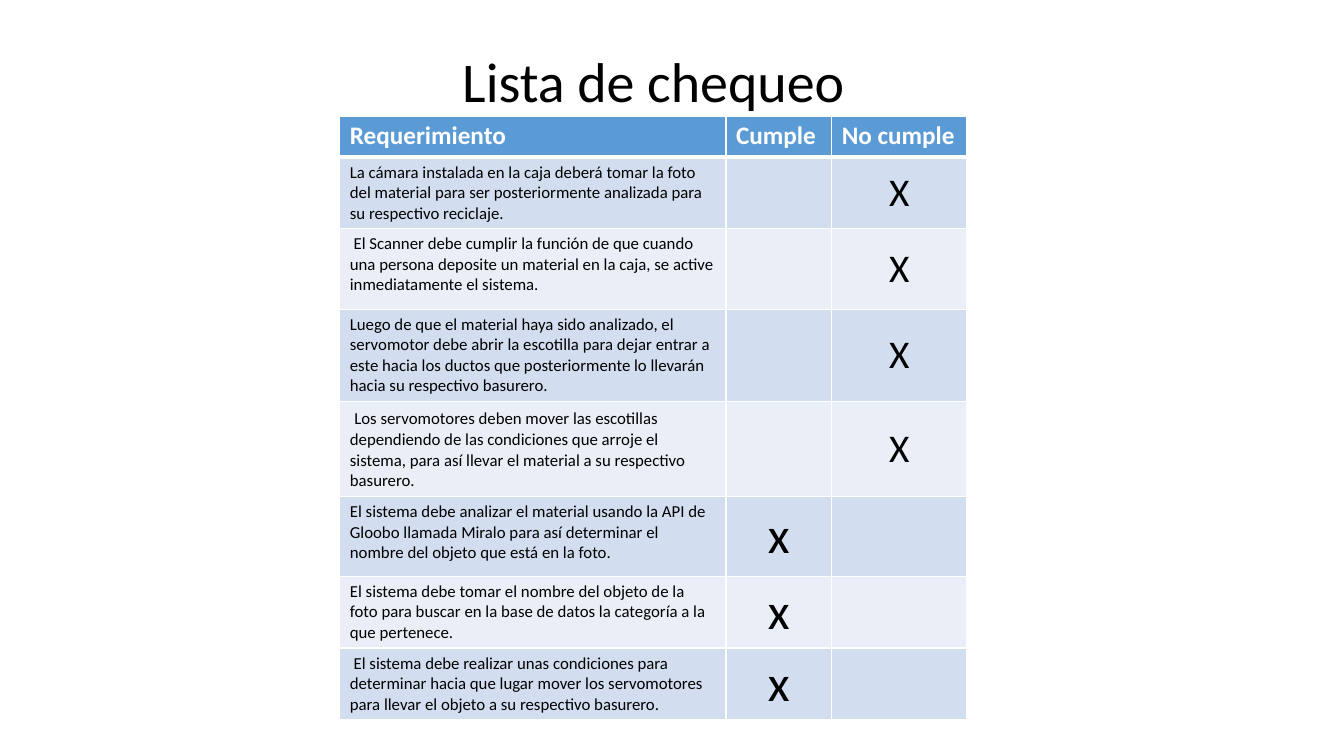
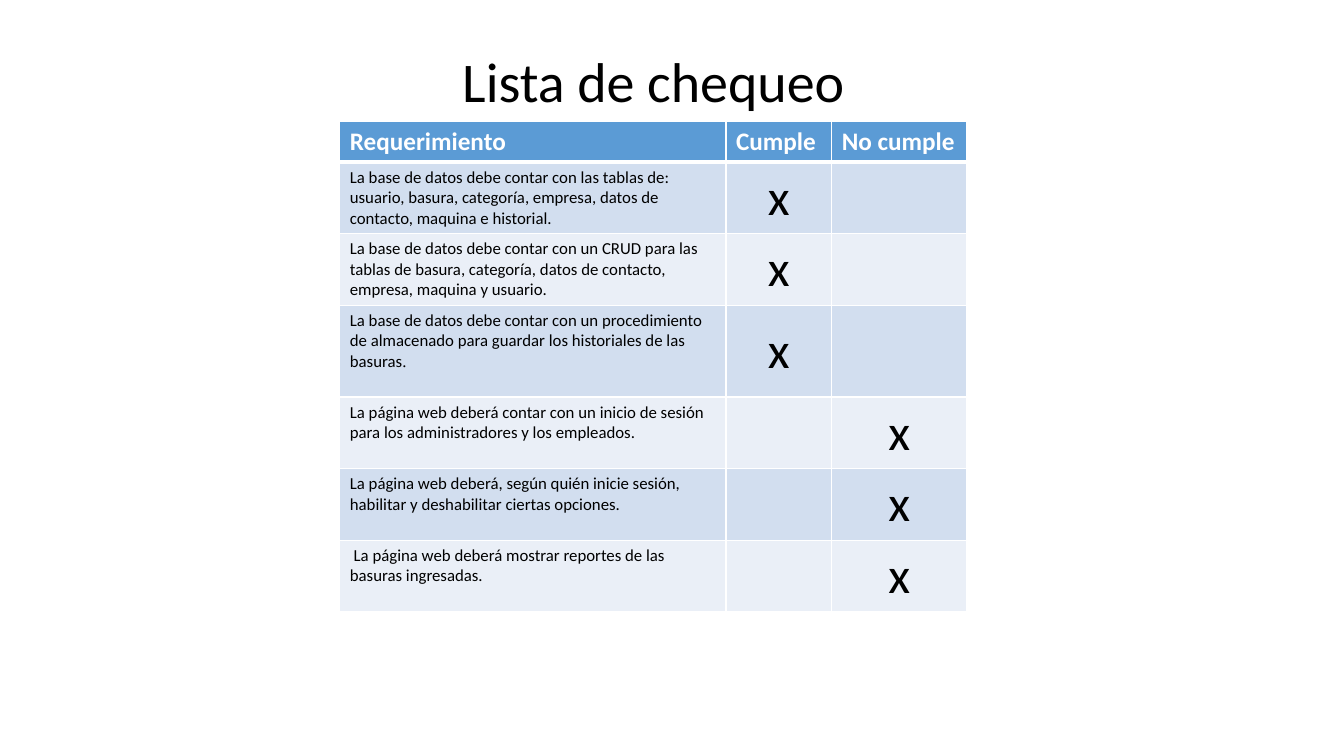
from lxml import etree
from pptx import Presentation
from pptx.dml.color import RGBColor
from pptx.enum.text import MSO_ANCHOR, PP_ALIGN
from pptx.oxml.ns import qn
from pptx.util import Inches, Pt

MIDDLE, TOP = MSO_ANCHOR.MIDDLE, MSO_ANCHOR.TOP
CENTER, LEFT = PP_ALIGN.CENTER, PP_ALIGN.LEFT

# Shared style
WHITE, BLACK, BLUE = "FFFFFF", "000000", "5B9BD5"
BANDS = "D2DEEF", "EAEFF7"
TITLE = {"name": "Calibri", "size": Pt(40), "bold": False}
HEAD = {**TITLE, "size": Pt(18), "bold": True}
BODY = {**TITLE, "size": Pt(12)}
SPACE = {**BODY, "size": Pt(14)}
SERIF = {**BODY, "name": "Times New Roman"}
MARKS = {"X": {**TITLE, "size": Pt(28)}, "x": {**TITLE, "size": Pt(36)}}
HEADS = "Requerimiento", "Cumple", "No cumple"
COLS = 3.83, 1.05, 1.34


def color(code):
    return RGBColor.from_string(code)


class Deck:
    def __init__(self):
        self.prs = Presentation()
        self.prs.slide_width = Inches(13.33)
        self.prs.slide_height = Inches(7.5)
        self.slide = None

    def page(self):
        self.slide = self.prs.slides.add_slide(self.prs.slide_layouts[6])

    def text(self, para, runs, ink, align):
        para.alignment = align
        for words, style in runs:
            run = para.add_run()
            run.text = words
            run.font.color.rgb = color(ink)
            for key, value in style.items():
                setattr(run.font, key, value)

    def title(self, words):
        box = self.slide.shapes.add_textbox(
            Inches(0.73), Inches(0.11), Inches(11.5), Inches(1.45))
        frame = box.text_frame
        frame.word_wrap = True
        frame.vertical_anchor = MIDDLE
        para = frame.paragraphs[0]
        para.line_spacing = 0.9
        self.text(para, [(words, TITLE)], BLACK, CENTER)

    def border(self, cell, sides):
        props = cell._tc.get_or_add_tcPr()
        for side, width in sides.items():
            line = etree.SubElement(props, qn("a:ln" + side), w=str(Pt(width)))
            fill = etree.SubElement(line, qn("a:solidFill"))
            etree.SubElement(fill, qn("a:srgbClr"), val=WHITE)

    def cell(self, cell, runs, fill, sides, ink=BLACK, mark=False):
        self.border(cell, sides)
        cell.fill.solid()
        cell.fill.fore_color.rgb = color(fill)
        cell.vertical_anchor = MIDDLE if mark else TOP
        self.text(cell.text_frame.paragraphs[0], runs, ink,
                  CENTER if mark else LEFT)

    def table(self, top, items):
        """Each item is row height, text runs, marked column and mark."""
        tall = [0.41] + [item[0] for item in items]
        table = self.slide.shapes.add_table(
            len(tall), len(COLS), Inches(3.37), Inches(top),
            Inches(sum(COLS)), Inches(sum(tall))).table
        table.horz_banding = False
        for col, width in zip(table.columns, COLS):
            col.width = Inches(width)
        for row, height in zip(table.rows, tall):
            row.height = Inches(height)

        # Header
        for col, words in enumerate(HEADS):
            self.cell(table.cell(0, col), [(words, HEAD)], BLUE,
                      {"L": 1, "R": 1, "T": 1, "B": 3}, WHITE)

        # Requirements and marks
        for row, (_, runs, spot, mark) in enumerate(items, 1):
            sides = {"L": 1, "R": 1, "T": 3 if row == 1 else 1, "B": 1}
            if isinstance(runs, str):
                runs = [(runs, BODY)]
            for col in range(len(COLS)):
                hit = [(mark, MARKS[mark])] if col == spot else []
                self.cell(table.cell(row, col), hit if col else runs,
                          BANDS[(row - 1) % 2], sides, mark=col == spot)


YES, NO = 1, 2
SYSTEM = [
    (0.71, "La cámara instalada en la caja deberá tomar la foto del material "
     "para ser posteriormente analizada para su respectivo reciclaje.", NO, "X"),
    (0.8, " El Scanner debe cumplir la función de que cuando una persona "
     "deposite un material en la caja, se active inmediatamente el sistema.",
     NO, "X"),
    (0.91, "Luego de que el material haya sido analizado, el servomotor debe "
     "abrir la escotilla para dejar entrar a este hacia los ductos que "
     "posteriormente lo llevarán hacia su respectivo basurero. ", NO, "X"),
    (0.95, [(" ", SPACE),
            ("Los servomotores deben mover las escotillas dependiendo de las "
             "condiciones que arroje el sistema, para así llevar el material "
             "a su respectivo basurero.", BODY)], NO, "X"),
    (0.79, "El sistema debe analizar el material usando la API de Gloobo "
     "llamada Miralo para así determinar el nombre del objeto que está en "
     "la foto.", YES, "x"),
    (0.71, "El sistema debe tomar el nombre del objeto de la foto para buscar "
     "en la base de datos la categoría a la que pertenece.", YES, "x"),
    (0.71, " El sistema debe realizar unas condiciones para determinar hacia "
     "que lugar mover los servomotores para llevar el objeto a su respectivo "
     "basurero.", YES, "x"),
]
DATA = [
    (0.71, "La base de datos debe contar con las tablas de: usuario, basura, "
     "categoría, empresa, datos de contacto, maquina e historial.", YES, "x"),
    (0.71, "La base de datos debe contar con un CRUD para las tablas de "
     "basura, categoría, datos de contacto, empresa, maquina y usuario.",
     YES, "x"),
    (0.91, [("La base de datos debe contar con un procedimiento de almacenado "
             "para guardar los historiales de las basuras", BODY),
            (".", SERIF)], YES, "x"),
    (0.71, "La página web deberá contar con un inicio de sesión para los "
     "administradores y los empleados.", NO, "x"),
    (0.71, "La página web deberá, según quién inicie sesión, habilitar y "
     "deshabilitar ciertas opciones.", NO, "x"),
    (0.71, " La página web deberá mostrar reportes de las basuras "
     "ingresadas.", NO, "x"),
]

# Slides
deck = Deck()
for top, items in ((1.15, SYSTEM), (1.2, DATA)):
    deck.page()
    deck.title("Lista de chequeo")
    deck.table(top, items)
deck.prs.save("out.pptx")
